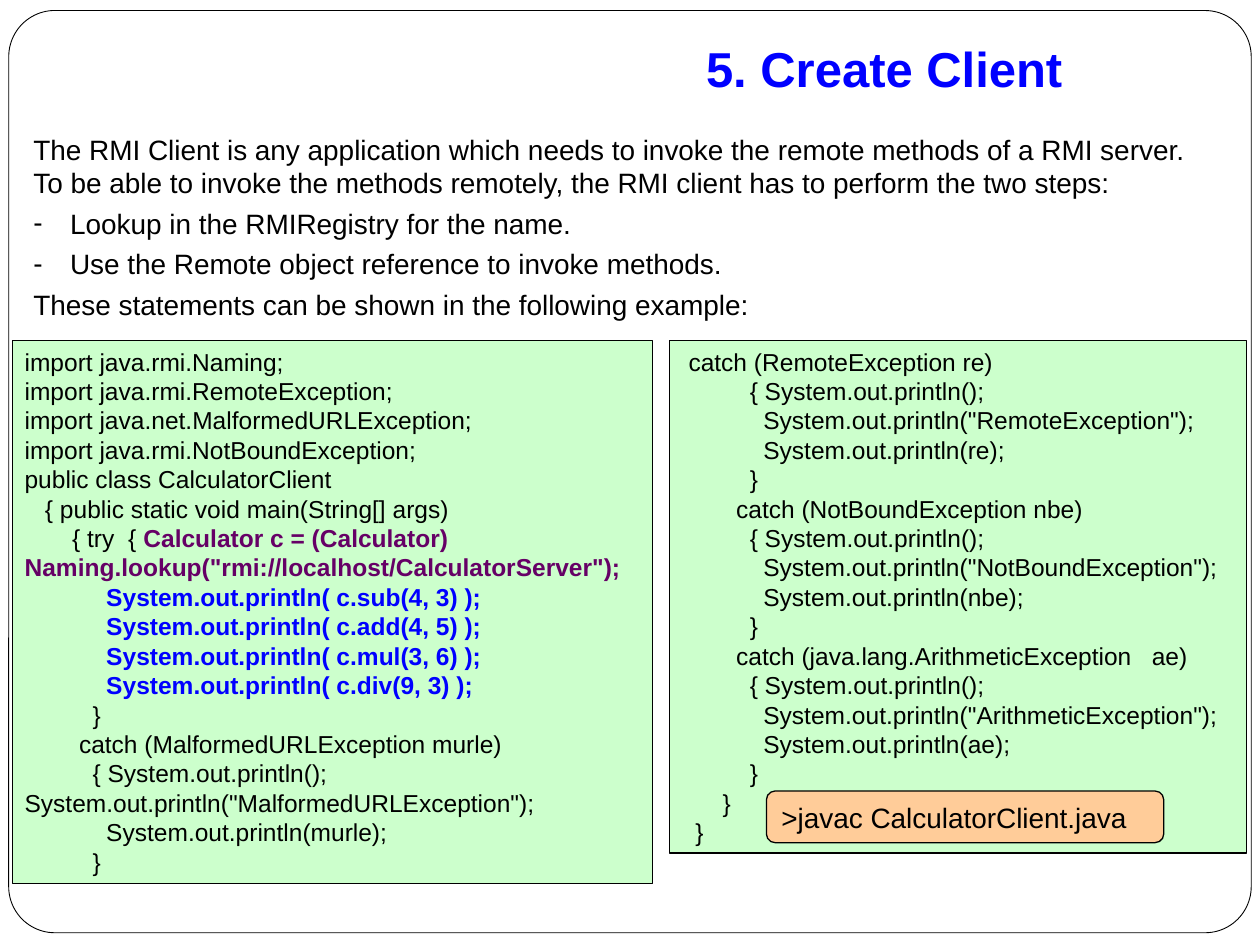
"""Build the "Create Client" slide with its two code panels."""
from lxml.etree import SubElement
from pptx import Presentation
from pptx.dml.color import RGBColor
from pptx.enum.shapes import MSO_SHAPE
from pptx.enum.text import MSO_ANCHOR, MSO_AUTO_SIZE, PP_ALIGN
from pptx.oxml.ns import qn
from pptx.util import Pt

PX = 6350
BLACK, BLUE, PURPLE = "000000", "0000FF", "660066"
GREEN, ORANGE, WHITE = "CCFFCC", "FFCC99", "FFFFFF"


def write(para, text, size=14, color=BLACK, bold=False, align=PP_ALIGN.LEFT, before=0):
    para.alignment = align
    para.space_before = Pt(before)
    span = para.add_run()
    span.text = text
    span.font.name = "Arial"
    span.font.size = Pt(size)
    span.font.bold = bold
    span.font.color.rgb = RGBColor.from_string(color)


def add_panel(page, kind, bounds, fill, weight=0.75):
    panel = page.shapes.add_shape(kind, *[value * PX for value in bounds])
    panel.shadow.inherit = False
    panel.fill.solid()
    panel.fill.fore_color.rgb = RGBColor.from_string(fill)
    panel.line.color.rgb = RGBColor.from_string(BLACK)
    panel.line.width = Pt(weight)
    panel.text_frame.word_wrap = True
    panel.text_frame.vertical_anchor = MSO_ANCHOR.TOP
    return panel


deck = Presentation()
deck.slide_width, deck.slide_height = 1440 * PX, 1080 * PX
page = deck.slides.add_slide(deck.slide_layouts[5])

border = add_panel(page, MSO_SHAPE.ROUNDED_RECTANGLE, (10, 12, 1420, 1054), WHITE, 0.5)
border.adjustments[0] = 0.05
title = page.shapes.title
title._element.addprevious(border._element)

title.left, title.top, title.width, title.height = 324 * PX, 36 * PX, 920 * PX, 89 * PX
heading = title.text_frame
heading.auto_size = MSO_AUTO_SIZE.NONE
heading.vertical_anchor = MSO_ANCHOR.BOTTOM
heading.margin_bottom = 14 * PX
heading.margin_right = 30 * PX
write(heading.paragraphs[0], "5. Create Client", size=28, color=BLUE, bold=True,
      align=PP_ALIGN.RIGHT)

intro = page.shapes.add_textbox(24 * PX, 144 * PX, 1380 * PX, 230 * PX).text_frame
intro.word_wrap = True
statements = [
    ("The RMI Client is any application which needs to invoke the remote methods of a "
     "RMI server. To be able to invoke the methods remotely, the RMI client has to "
     "perform the two steps:", False),
    ("Lookup in the RMIRegistry for the name.", True),
    ("Use the Remote object reference to invoke methods.", True),
    ("These statements can be shown in the following example:", False),
]
for index, (text, bulleted) in enumerate(statements):
    para = intro.add_paragraph() if index else intro.paragraphs[0]
    if bulleted:
        properties = para._p.get_or_add_pPr()
        properties.set("marL", str(42 * PX))
        properties.set("indent", str(-42 * PX))
        SubElement(properties, qn("a:buFont"), typeface="Arial")
        SubElement(properties, qn("a:buChar"), char="-")
    write(para, text, size=16, before=4 if index else 0)

lookup_code = [
    "import java.rmi.Naming;",
    "import java.rmi.RemoteException;",
    "import java.net.MalformedURLException;",
    "import java.rmi.NotBoundException;",
    "public class CalculatorClient",
    "   { public static void main(String[] args)",
    "       { try  { ",
    "            System.out.println( c.sub(4, 3) );",
    "            System.out.println( c.add(4, 5) );",
    "            System.out.println( c.mul(3, 6) );",
    "            System.out.println( c.div(9, 3) );",
    "          }",
    "        catch (MalformedURLException murle)",
    "          { System.out.println();",
    'System.out.println("MalformedURLException");',
    "            System.out.println(murle);",
    "          }",
]
catch_code = [
    " catch (RemoteException re)",
    "          { System.out.println();",
    '            System.out.println("RemoteException");',
    "            System.out.println(re);",
    "          }",
    "        catch (NotBoundException nbe)",
    "          { System.out.println();",
    '            System.out.println("NotBoundException");',
    "            System.out.println(nbe);",
    "          }",
    "        catch (java.lang.ArithmeticException   ae)",
    "          { System.out.println();",
    '            System.out.println("ArithmeticException");',
    "            System.out.println(ae);",
    "          }",
    "      }",
    "  }",
]
for bounds, code in [((14, 389, 732, 621), lookup_code), ((765, 389, 660, 586), catch_code)]:
    frame = add_panel(page, MSO_SHAPE.RECTANGLE, bounds, GREEN).text_frame
    for index, text in enumerate(code):
        para = frame.add_paragraph() if index else frame.paragraphs[0]
        remote_call = "( c." in text
        write(para, text, color=BLUE if remote_call else BLACK, bold=remote_call)
        if "try" in text:
            write(para, "Calculator c = (Calculator) "
                  'Naming.lookup("rmi://localhost/CalculatorServer");',
                  color=PURPLE, bold=True)

command = add_panel(page, MSO_SHAPE.ROUNDED_RECTANGLE, (876, 904, 454, 59), ORANGE)
command.text_frame.vertical_anchor = MSO_ANCHOR.MIDDLE
write(command.text_frame.paragraphs[0], ">javac CalculatorClient.java", size=16)

deck.save("out.pptx")
